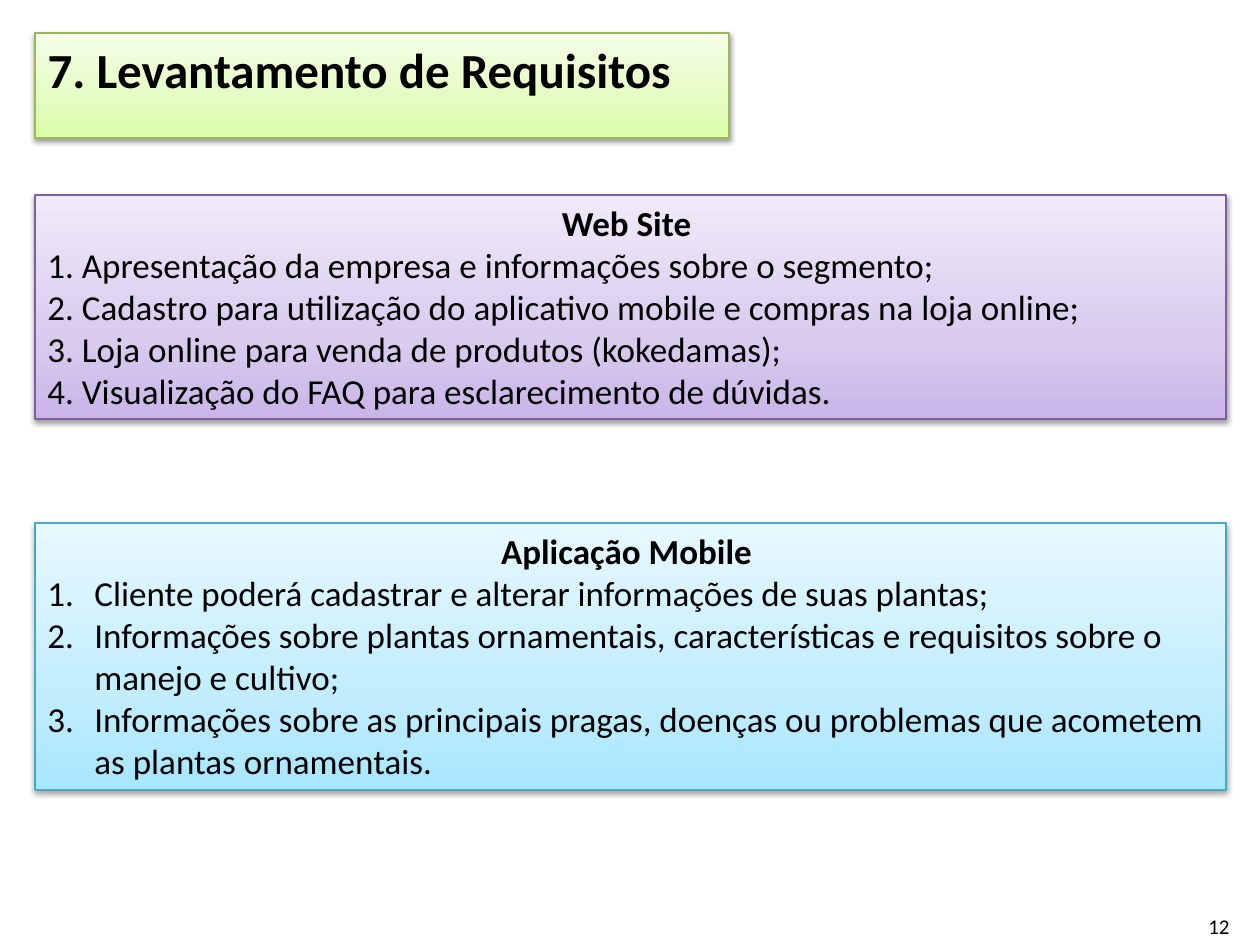
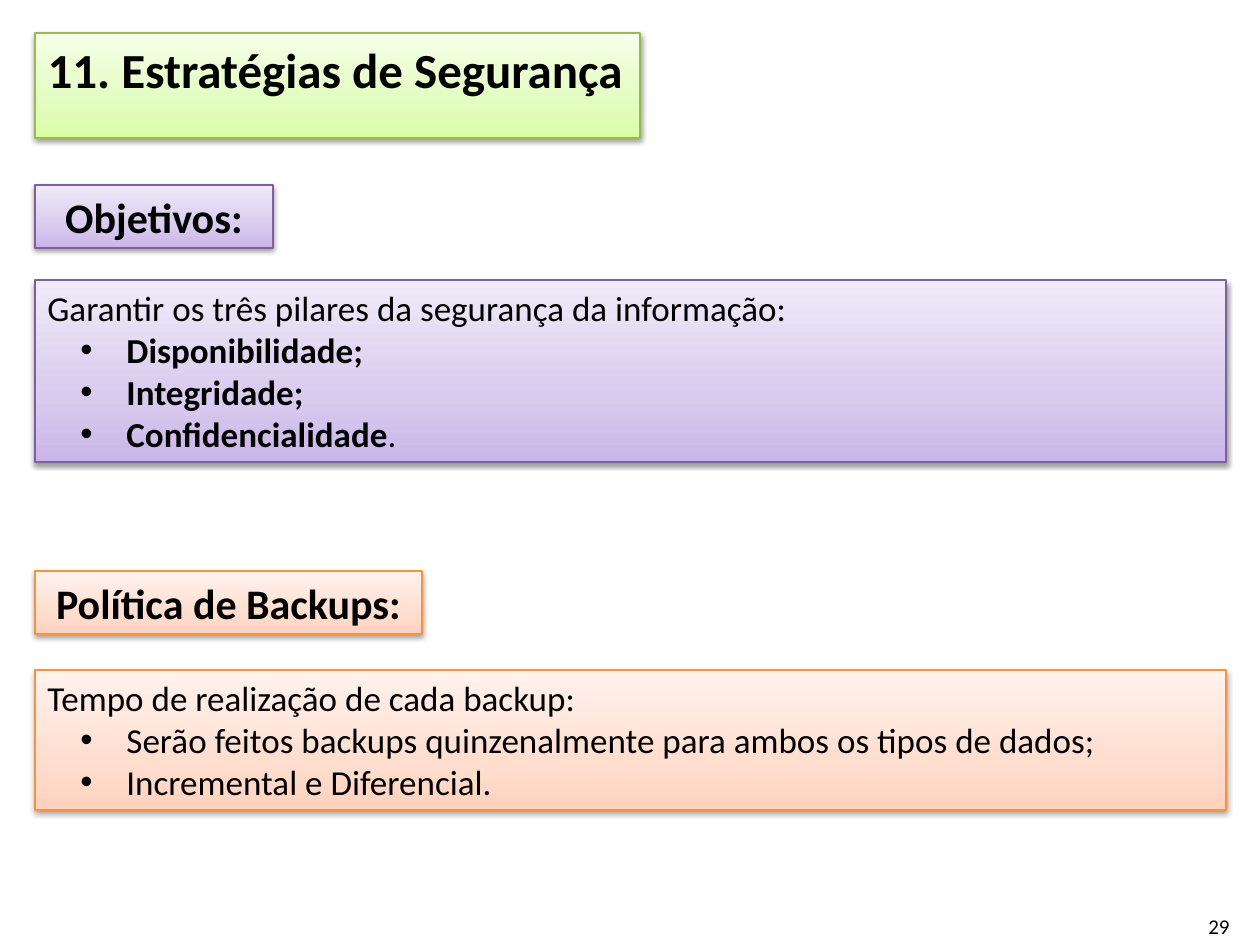
"""Build two project slides with gradient panels under a gradient title."""
from copy import deepcopy
from dataclasses import dataclass
from typing import Any

from pptx import Presentation
from pptx import util as u
from pptx.dml import color
from pptx.enum import shapes, text
from pptx.oxml import parse_xml
from pptx.oxml.ns import nsdecls, qn

EMU_PER_PX = 914400 / 126
FONT = "Calibri"
LEFT, FULL = 35, 1191
TITLE_TOP, TITLE_HEIGHT, TAG_HEIGHT = 33, 72, 63
NUMBER_BOX = (948, 901, 294, 50)
STOPS = (0, 0.35, 1)
CENTER, RIGHT = text.PP_ALIGN.CENTER, text.PP_ALIGN.RIGHT
MARKS = {
    "number": (47, -47, ('<a:buFont {} typeface="+mj-lt"/>', '<a:buAutoNum {} type="arabicPeriod"/>')),
    "dot": (79, -46, ('<a:buFont {} typeface="Arial"/>', '<a:buChar {} char="•"/>')),
}
SHADOW = (
    '<a:outerShdw {} blurRad="40000" dist="20000" dir="5400000" rotWithShape="0">'
    '<a:srgbClr val="000000"><a:alpha val="38000"/></a:srgbClr></a:outerShdw>'
)


@dataclass(frozen=True)
class Theme:
    """Outline colour and gradient colours from bottom to top."""
    line: str
    stops: tuple[str, str, str]


@dataclass(frozen=True)
class Line:
    """One paragraph, with an optional plain tail after its main run."""
    words: str
    size: int = 20
    bold: bool = False
    align: Any = None
    mark: str = ""
    level: int = 0
    tail: str = ""


@dataclass(frozen=True)
class Panel:
    """A themed box with its lines of text."""
    top: int
    width: int
    height: int
    theme: Theme
    lines: list[Line]


@dataclass(frozen=True)
class Page:
    """Everything that varies from slide to slide."""
    title: str
    title_width: int
    number: str
    panels: list[Panel]


GREEN = Theme("98B955", ("DAFDA7", "E4FCC2", "F5FFE7"))
PURPLE = Theme("7D60A0", ("C9B5E8", "D8CBEE", "F0EAF9"))
BLUE = Theme("46AAC5", ("A7E6FF", "C1EDFF", "E7F8FF"))
ORANGE = Theme("F69240", ("FFD2BD", "FFDED0", "FFF2ED"))


def px(n: int) -> u.Emu:
    """Turn pixels into EMU."""
    return u.Emu(round(n * EMU_PER_PX))


def rgb(value: str) -> color.RGBColor:
    """Turn a hex string into a colour."""
    return color.RGBColor.from_string(value)


def apply(obj: Any, values: dict[str, Any]) -> None:
    """Set each named attribute of an object."""
    for name, value in values.items():
        setattr(obj, name, value)


def xml(template: str) -> Any:
    """Parse a drawing fragment."""
    return parse_xml(template.format(nsdecls("a")))


def paint(sp: Any, theme: Theme) -> None:
    """Give a shape its gradient, outline and shadow."""
    sp.fill.gradient()
    sp.fill.gradient_angle = 90
    first = sp._element.spPr.find(".//" + qn("a:gs"))
    first.addnext(deepcopy(first))
    for stop, position, value in zip(sp.fill.gradient_stops, STOPS, theme.stops):
        stop.position = position
        stop.color.rgb = rgb(value)
    sp.line.color.rgb = rgb(theme.line)
    sp.line.width = u.Pt(0.75)
    sp.shadow.inherit = False
    sp._element.spPr.find(qn("a:effectLst")).append(xml(SHADOW))


def add_run(p: Any, words: str, size: int, bold: bool) -> None:
    """Add one formatted run."""
    r = p.add_run()
    r.text = words
    apply(r.font, {"name": FONT, "size": u.Pt(size), "bold": bold})
    r.font.color.rgb = rgb("000000")


def write(tf: Any, lines: list[Line], anchor: Any = text.MSO_ANCHOR.TOP,
          fit: Any = text.MSO_AUTO_SIZE.SHAPE_TO_FIT_TEXT) -> None:
    """Fill a text frame with paragraphs."""
    apply(tf, {"word_wrap": True, "auto_size": fit, "vertical_anchor": anchor})
    for i, line in enumerate(lines):
        p = tf.add_paragraph() if i else tf.paragraphs[0]
        apply(p, {"alignment": line.align or text.PP_ALIGN.LEFT, "level": line.level})
        if line.mark:
            margin, indent, bullets = MARKS[line.mark]
            pPr = p._p.get_or_add_pPr()
            pPr.set("marL", str(px(margin)))
            pPr.set("indent", str(px(indent)))
            for bullet in bullets:
                pPr.append(xml(bullet))
        add_run(p, line.words, line.size, line.bold)
        if line.tail:
            add_run(p, line.tail, line.size, False)


def add_panel(s: Any, panel: Panel) -> None:
    """Draw a panel."""
    box = (px(n) for n in (LEFT, panel.top, panel.width, panel.height))
    sp = s.shapes.add_shape(shapes.MSO_SHAPE.RECTANGLE, *box)
    paint(sp, panel.theme)
    write(sp.text_frame, panel.lines)


def add_page(prs: Any, page: Page) -> None:
    """Add a slide with title, number and panels."""
    s = prs.slides.add_slide(prs.slide_layouts[5])
    title = s.shapes.title
    apply(title, {"left": px(LEFT), "top": px(TITLE_TOP),
                  "width": px(page.title_width), "height": px(TITLE_HEIGHT)})
    paint(title, GREEN)
    write(title.text_frame, [Line(page.title, 28, True)])
    number = s.shapes.add_textbox(*map(px, NUMBER_BOX))
    write(number.text_frame, [Line(page.number, 12, align=RIGHT)],
          text.MSO_ANCHOR.MIDDLE, text.MSO_AUTO_SIZE.NONE)
    for panel in page.panels:
        add_panel(s, panel)


def heading(words: str, size: int = 20) -> Line:
    """Make a bold centred line."""
    return Line(words, size, True, CENTER)


def dot(words: str, bold: bool = False, tail: str = "") -> Line:
    """Make a bulleted second-level line."""
    return Line(words, bold=bold, mark="dot", level=1, tail=tail)


PAGES = [
    Page("7. Levantamento de Requisitos", 694, "12", [
        Panel(195, FULL, 224, PURPLE, [
            heading("Web Site "),
            Line("1. Apresentação da empresa e informações sobre o segmento;"),
            Line("2. Cadastro para utilização do aplicativo mobile e compras na loja online;"),
            Line("3. Loja online para venda de produtos (kokedamas);"),
            Line("4. Visualização do FAQ para esclarecimento de dúvidas."),
        ]),
        Panel(523, FULL, 267, BLUE, [
            heading("Aplicação Mobile "),
            Line("Cliente poderá cadastrar e alterar informações de suas plantas;", mark="number"),
            Line("Informações sobre plantas ornamentais, características e requisitos "
                 "sobre o manejo e cultivo;", mark="number"),
            Line("Informações sobre as principais pragas, doenças ou problemas que "
                 "acometem as plantas ornamentais.", mark="number"),
        ]),
    ]),
    Page("11. Estratégias de Segurança", 605, "29", [
        Panel(280, FULL, 182, PURPLE, [
            Line("Garantir os três pilares da segurança da informação:"),
            dot("Disponibilidade;", True),
            dot("Integridade;", True),
            dot("Confidencialidade", True, "."),
        ]),
        Panel(185, 238, TAG_HEIGHT, PURPLE, [heading("Objetivos:", 24)]),
        Panel(571, 387, TAG_HEIGHT, ORANGE, [heading("Política de Backups:", 24)]),
        Panel(670, FULL, 140, ORANGE, [
            Line("Tempo de realização de cada backup:"),
            dot("Serão feitos backups quinzenalmente para ambos os tipos de dados;"),
            dot("Incremental e Diferencial."),
        ]),
    ]),
]


def main() -> None:
    """Build and save the presentation."""
    prs = Presentation()
    apply(prs, {"slide_width": px(1260), "slide_height": px(945)})
    for page in PAGES:
        add_page(prs, page)
    prs.save("out.pptx")


if __name__ == "__main__":
    main()
